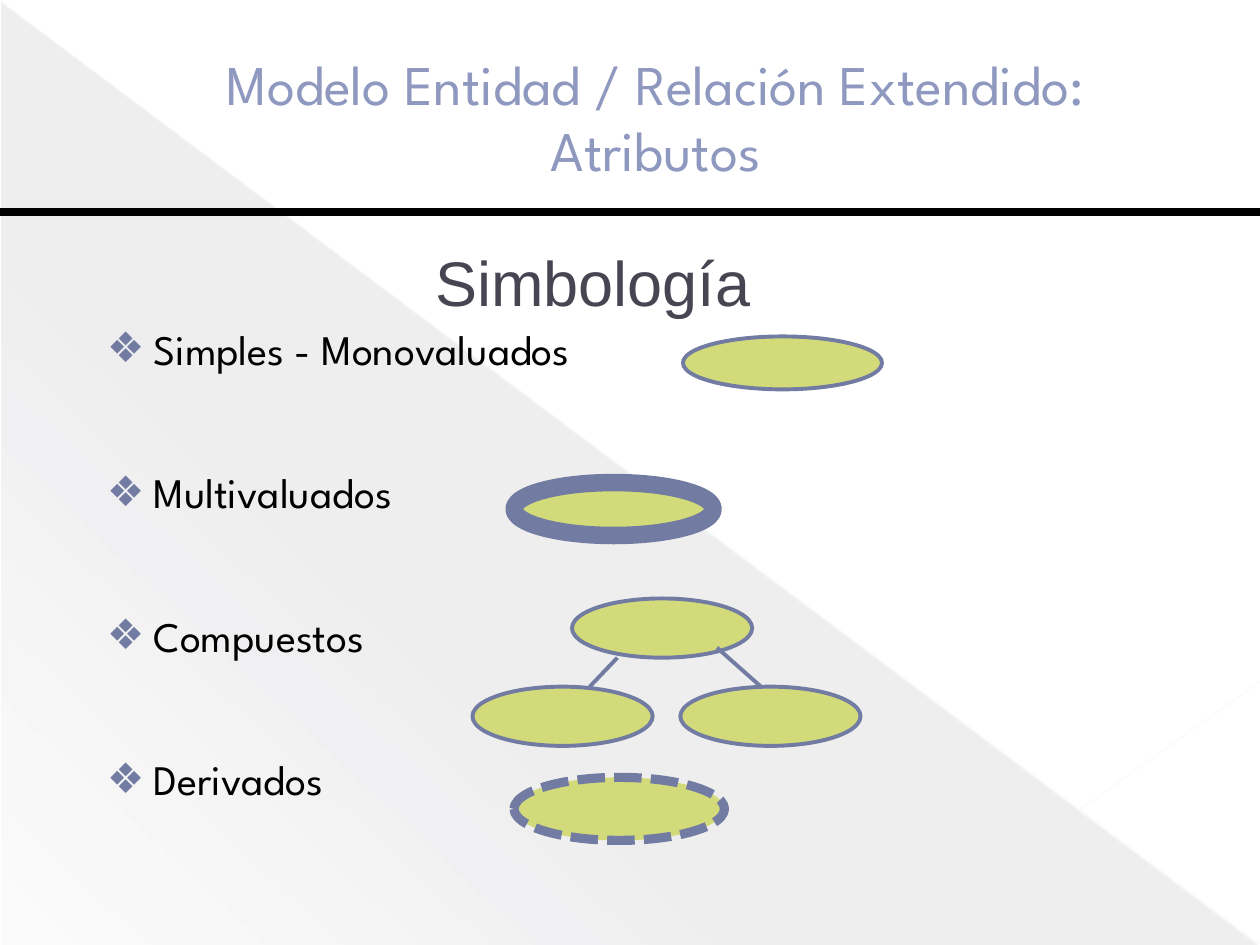
"""Build the slide on attribute symbols in the extended entity-relationship model."""
from lxml.etree import SubElement
from pptx import Presentation
from pptx.dml.color import RGBColor
from pptx.enum.dml import MSO_LINE
from pptx.enum.shapes import MSO_CONNECTOR, MSO_SHAPE
from pptx.enum.text import MSO_ANCHOR, PP_ALIGN
from pptx.oxml import parse_xml
from pptx.oxml.ns import nsdecls, qn
from pptx.util import Inches, Pt

TITLE = ["Modelo Entidad / Relación Extendido:", "Atributos"]
HEADING = "Simbología"
KINDS = ["Simples - Monovaluados", "Multivaluados", "Compuestos", "Derivados"]

BLACK = RGBColor(0x00, 0x00, 0x00)
DARK = RGBColor(0x46, 0x46, 0x53)
SLATE = RGBColor(0x72, 0x7C, 0xA3)
LILAC = RGBColor(0x8F, 0x98, 0xBF)
LIME = RGBColor(0xD2, 0xDA, 0x7A)
PALE = RGBColor(0xE9, 0xF6, 0xF9)
SPARTAN = "League Spartan"

BACKGROUND_LINES = [
    ((0, 0.01), (9.99, 7.49), PALE, 0.39, 35),
    ((10, 5.41), (7.07, 7.49), PALE, 0.47, 45),
    ((0, 1.68), (10, 1.68), BLACK, 4.5, 100),
]
GRADIENT_STOPS = [(0, 10), (70, 8), (100, 1)]
SYMBOLS = [
    ((5.42, 2.67, 1.58, 0.42), 2.25, MSO_LINE.SOLID),
    ((4.08, 3.83, 1.58, 0.42), 10, MSO_LINE.SOLID),
    ((4.08, 6.17, 1.67, 0.5), 5.25, MSO_LINE.SQUARE_DOT),
]
COMPOSITE_NODES = [(4.54, 4.75), (3.75, 5.45), (5.4, 5.45)]
COMPOSITE_LINKS = [((4.9, 5.22), (4.68, 5.45)), ((5.69, 5.14), (6.04, 5.45))]
NODE_SIZE = (1.43, 0.47)


def inches(*values):
    return [Inches(v) for v in values]


def add_line(shapes, start, end, color, width, opacity=100):
    line = shapes.add_connector(MSO_CONNECTOR.STRAIGHT, *inches(*start, *end))
    line.line.color.rgb = color
    line.line.width = Pt(width)
    if opacity < 100:
        clr = next(line._element.spPr.iter(qn("a:srgbClr")))
        SubElement(clr, qn("a:alpha"), val=str(opacity * 1000))
    SubElement(line._element.spPr, qn("a:effectLst"))


def add_ellipse(shapes, box, width, dash=MSO_LINE.SOLID):
    s = shapes.add_shape(MSO_SHAPE.OVAL, *inches(*box))
    s.shadow.inherit = False
    s.fill.solid()
    s.fill.fore_color.rgb = LIME
    s.line.color.rgb = SLATE
    s.line.width = Pt(width)
    s.line.dash_style = dash


def add_triangle(shapes):
    s = shapes.add_shape(MSO_SHAPE.RIGHT_TRIANGLE, *inches(0.01, 0.02, 9.98, 7.48))
    s.shadow.inherit = False
    s.line.fill.background()
    stops = "".join(
        f'<a:gs pos="{pos * 1000}"><a:srgbClr val="{DARK}">'
        f'<a:alpha val="{alpha * 1000}"/></a:srgbClr></a:gs>'
        for pos, alpha in GRADIENT_STOPS
    )
    fill = parse_xml(
        f'<a:gradFill {nsdecls("a")} rotWithShape="1"><a:gsLst>{stops}</a:gsLst>'
        f'<a:lin ang="{133 * 60000}" scaled="0"/></a:gradFill>'
    )
    s._element.spPr.find(qn("a:prstGeom")).addnext(fill)


def add_run(p, text, size, font, color):
    r = p.add_run()
    r.text = text
    r.font.size = Pt(size)
    r.font.name = font
    r.font.color.rgb = color


def add_bullet(p, indent):
    pPr = p._p.get_or_add_pPr()
    pPr.set("marL", str(Inches(indent)))
    pPr.set("indent", str(-Inches(indent)))
    SubElement(SubElement(pPr, qn("a:buClr")), qn("a:srgbClr"), val=str(SLATE))
    SubElement(pPr, qn("a:buFont"), typeface="Arial")
    SubElement(pPr, qn("a:buChar"), char="❖")


def add_text_box(shapes, box):
    tf = shapes.add_textbox(*inches(*box)).text_frame
    tf.word_wrap = True
    return tf


def set_title(title):
    title.left, title.top, title.width, title.height = inches(0.33, 0.3, 9.75, 1.25)
    tf = title.text_frame
    tf.vertical_anchor = MSO_ANCHOR.MIDDLE
    p = tf.paragraphs[0]
    p.alignment = PP_ALIGN.CENTER
    p.line_spacing = Pt(38)
    for i, text in enumerate(TITLE):
        if i:
            p.add_line_break()
        add_run(p, text, 32, SPARTAN, LILAC)


def main():
    prs = Presentation()
    prs.slide_width, prs.slide_height = inches(10, 7.5)
    slide = prs.slides.add_slide(prs.slide_layouts[5])
    shapes = slide.shapes

    add_triangle(shapes)
    for line in BACKGROUND_LINES:
        add_line(shapes, *line)

    composite = shapes.add_group_shape().shapes
    for node in COMPOSITE_NODES:
        add_ellipse(composite, node + NODE_SIZE, 2.25)
    for start, end in COMPOSITE_LINKS:
        add_line(composite, start, end, SLATE, 2.25)
    for symbol in SYMBOLS:
        add_ellipse(shapes, *symbol)

    p = add_text_box(shapes, (0.08, 1.88, 9.25, 1.15)).paragraphs[0]
    p.alignment = PP_ALIGN.CENTER
    add_run(p, HEADING, 36, "Arial", DARK)

    tf = add_text_box(shapes, (0.75, 2.5, 8.58, 4.75))
    for i, kind in enumerate(KINDS):
        p = tf.add_paragraph() if i else tf.paragraphs[0]
        add_bullet(p, 0.37)
        p.line_spacing = Pt(30)
        if i:
            p.space_before = Pt(52)
        add_run(p, kind, 24, SPARTAN, BLACK)

    set_title(shapes.title)
    shapes._spTree.append(shapes.title._element)
    prs.save("out.pptx")


if __name__ == "__main__":
    main()
